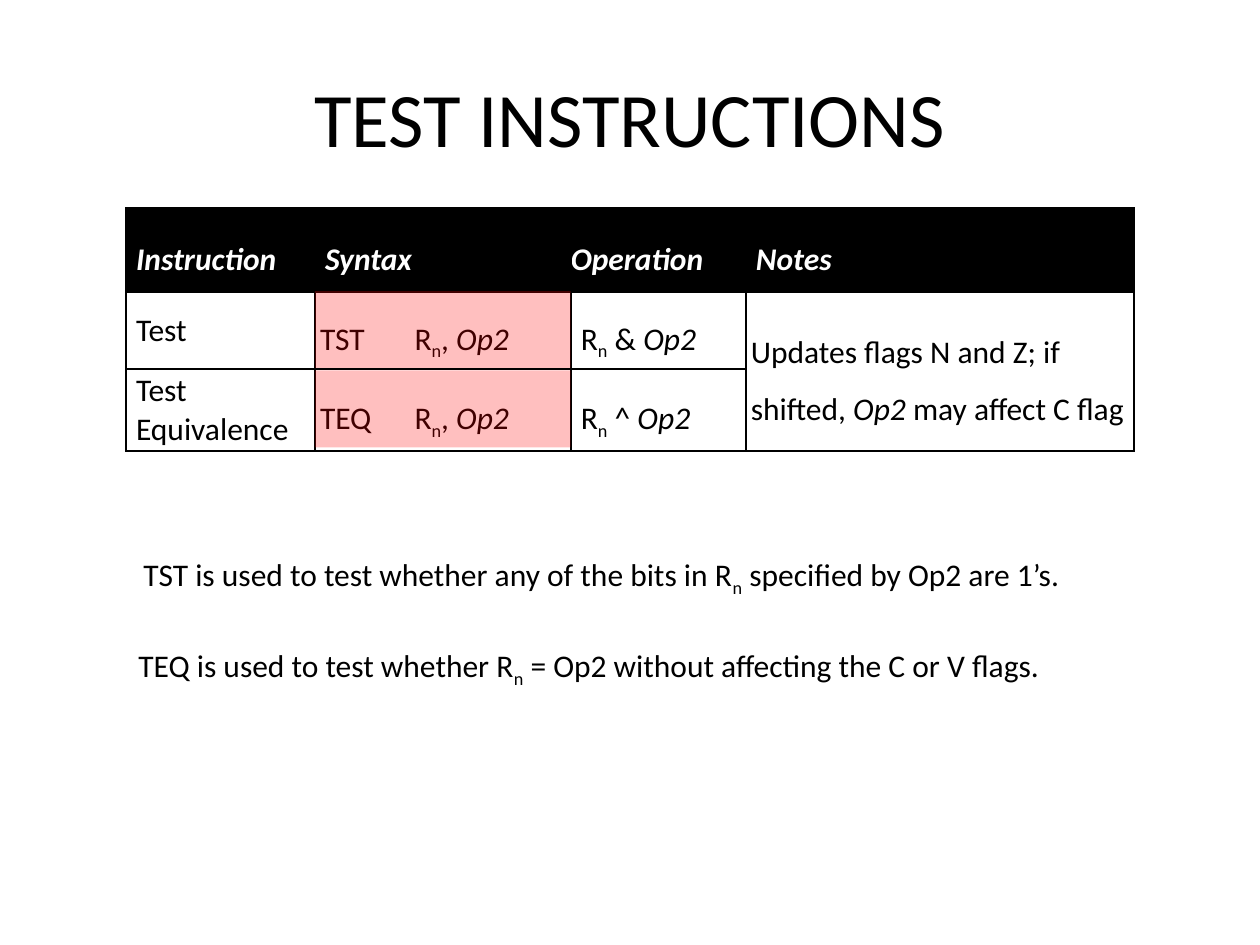
import pptx
import pptx.dml.color
import pptx.enum.shapes
import pptx.enum.text
import pptx.oxml
import pptx.oxml.ns
import pptx.util

INCH = pptx.util.Inches
MIDDLE = pptx.enum.text.MSO_ANCHOR.MIDDLE
FONT, BLACK, WHITE, RED = "Calibri", "000000", "FFFFFF", "FF0000"

# Content: a text is a list of (words, style) runs
TITLE = [("TEST INSTRUCTIONS", "plain")]
HEADERS = ["Instruction", "Syntax", "Operation", "Notes"]
INSTRUCTIONS = [("Test", "TST\tR", " & "), ("Test Equivalence", "TEQ \tR", " ^ ")]
NOTE = [("Updates flags N and Z; if shifted, ", "plain"), ("Op2 ", "italic"),
        ("may affect C flag", "plain")]
REMARKS = [
    (1.04, 4.36, "TST is used to test whether any of the bits in R",
     " specified by Op2 are 1’s."),
    (1, 5.08, "TEQ is used to test whether R",
     " = Op2 without affecting the C or V flags."),
]

# Formats and grid, in inches
STYLES = {
    "plain": {},
    "italic": {"italic": True},
    "header": {"bold": True, "italic": True},
    "subscript": {},
}
LEFT, TOP = 1, 1.65
COLUMNS = [1.5, 2.03, 1.39, 3.08]
ROWS = [0.67, 0.61, 0.61]
HEADER_INSETS = [0.08, 0.08, 0, 0.08]
BODY_INSETS = [(0.08, 0), (0.04, 0), (0.08, 0.08), (0.04, 0.04)]
BODY_TABS = [0.38, 0.75, None, None]


def color(value):
    return pptx.dml.color.RGBColor.from_string(value)


def write(frame, runs, size=18, ink=BLACK, spacing=None, tab=None):
    paragraph = frame.paragraphs[0]
    if spacing:
        paragraph.line_spacing = spacing
    if tab:
        tabs = pptx.oxml.parse_xml(
            f'<a:tabLst {pptx.oxml.ns.nsdecls("a")}>'
            f'<a:tab pos="{INCH(tab)}" algn="l"/></a:tabLst>')
        paragraph._p.get_or_add_pPr().append(tabs)
    for words, style in runs:
        run = paragraph.add_run()
        run.text = words
        values = {"name": FONT, "size": pptx.util.Pt(size), "bold": False,
                  "italic": False, **STYLES[style]}
        for name, value in values.items():
            setattr(run.font, name, value)
        run.font.color.rgb = color(ink)
        if style == "subscript":
            run.font._element.set("baseline", "-25000")
    return paragraph


def add_borders(cell):
    properties = cell._tc.get_or_add_tcPr()
    for index, side in enumerate(("lnL", "lnR", "lnT", "lnB")):
        properties.insert(index, pptx.oxml.parse_xml(
            f'<a:{side} {pptx.oxml.ns.nsdecls("a")} w="12700"><a:solidFill>'
            f'<a:srgbClr val="{BLACK}"/></a:solidFill></a:{side}>'))


def fill_cell(cell, runs, insets, vertical, **options):
    margins = {"margin_left": insets[0], "margin_right": insets[1],
               "margin_top": vertical, "margin_bottom": vertical}
    for name, value in margins.items():
        setattr(cell, name, INCH(value))
    cell.vertical_anchor = MIDDLE
    write(cell.text_frame, runs, **options)


def add_instruction_table(slide):
    table = slide.shapes.add_table(
        len(ROWS), len(COLUMNS), INCH(LEFT), INCH(TOP),
        INCH(sum(COLUMNS)), INCH(sum(ROWS))).table
    table.horz_banding = False
    for column, width in zip(table.columns, COLUMNS):
        column.width = INCH(width)
    for row, height in zip(table.rows, ROWS):
        row.height = INCH(height)
    for cell in table.iter_cells():
        cell.fill.background()
        add_borders(cell)

    # Header row
    for index, (header, inset) in enumerate(zip(HEADERS, HEADER_INSETS)):
        cell = table.cell(0, index)
        cell.fill.solid()
        cell.fill.fore_color.rgb = color(BLACK)
        fill_cell(cell, [(header, "header")], (inset, inset), 0.01,
                  ink=WHITE, spacing=1.5, tab=0.62 if index < 2 else None)

    # Instruction rows, sharing one note
    table.cell(1, 3).merge(table.cell(2, 3))
    for row, (name, syntax, operator) in enumerate(INSTRUCTIONS, start=1):
        texts = [
            [(name, "plain")],
            [(syntax, "plain"), ("n", "subscript"), (",", "plain"), (" Op2", "italic")],
            [("R", "plain"), ("n", "subscript"), (operator, "plain"), ("Op2", "italic")],
        ]
        if row == 1:
            texts.append(NOTE)
        for index, runs in enumerate(texts):
            fill_cell(table.cell(row, index), runs, BODY_INSETS[index],
                      0.01 if index == 3 else 0.02,
                      spacing=1.5 if index else None, tab=BODY_TABS[index])


def add_highlight(slide, top):
    shape = slide.shapes.add_shape(
        pptx.enum.shapes.MSO_SHAPE.RECTANGLE, INCH(LEFT + COLUMNS[0]), INCH(top),
        INCH(COLUMNS[1]), INCH(ROWS[1]))
    shape.shadow.inherit = False
    shape.line.fill.background()
    shape.fill.solid()
    shape.fill.fore_color.rgb = color(RED)
    shape.fill._xPr.find(".//" + pptx.oxml.ns.qn("a:srgbClr")).append(
        pptx.oxml.parse_xml(f'<a:alpha {pptx.oxml.ns.nsdecls("a")} val="25000"/>'))


def main():
    presentation = pptx.Presentation()
    presentation.slide_width, presentation.slide_height = INCH(10), INCH(7.5)
    slide = presentation.slides.add_slide(presentation.slide_layouts[5])

    # Title
    title = slide.shapes.title
    box = {"left": 0.5, "top": 0.3, "width": 9, "height": 1.25}
    for name, value in box.items():
        setattr(title, name, INCH(value))
    title.text_frame.vertical_anchor = MIDDLE
    paragraph = write(title.text_frame, TITLE, size=44)
    paragraph.alignment = pptx.enum.text.PP_ALIGN.CENTER

    add_instruction_table(slide)

    # Remarks below the table
    for left, top, before, after in REMARKS:
        frame = slide.shapes.add_textbox(
            INCH(left), INCH(top), INCH(8), INCH(0.4)).text_frame
        frame.word_wrap = True
        frame.auto_size = pptx.enum.text.MSO_AUTO_SIZE.SHAPE_TO_FIT_TEXT
        write(frame, [(before, "plain"), ("n", "subscript"), (after, "plain")])

    # Tints over the syntax column
    for row in range(len(INSTRUCTIONS)):
        add_highlight(slide, 2.31 + row * 0.63)

    presentation.save("out.pptx")


if __name__ == "__main__":
    main()
